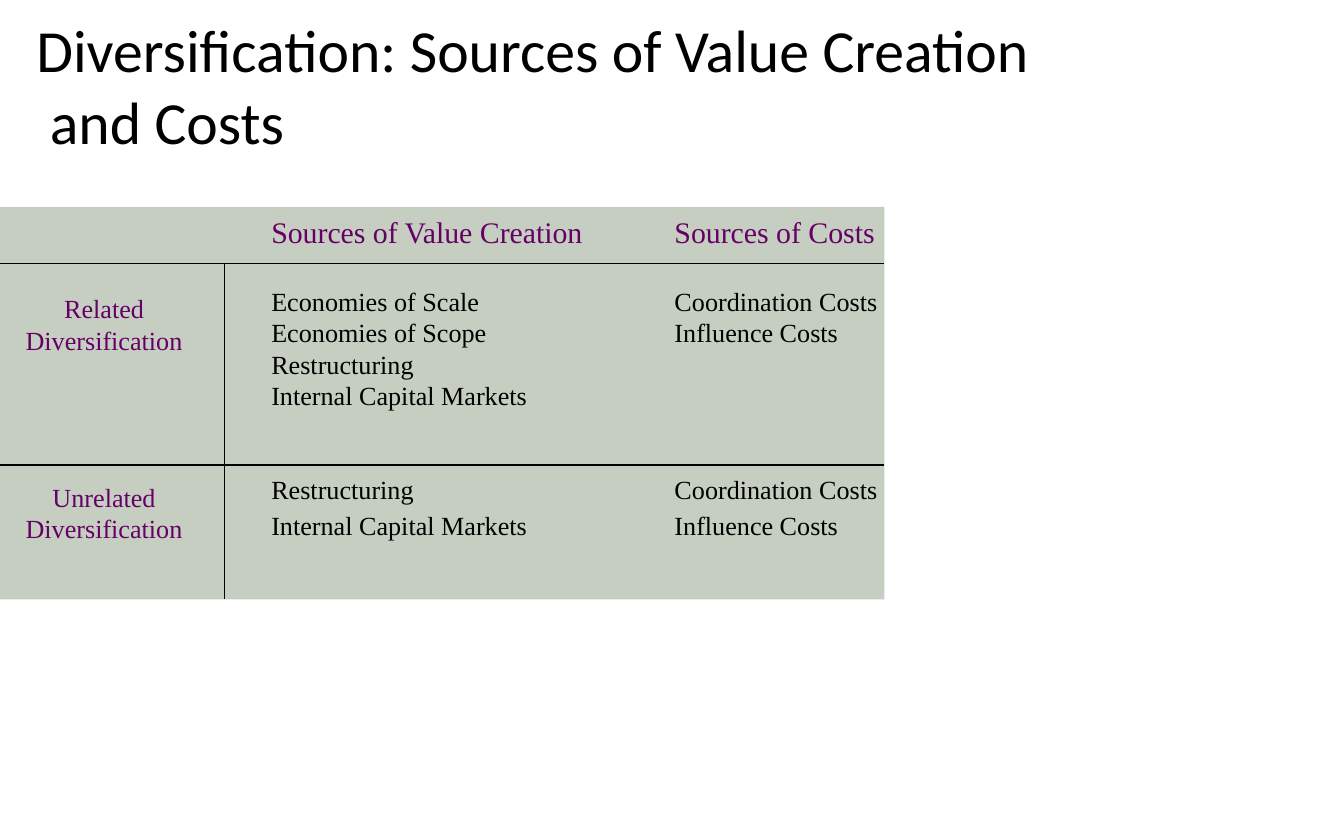
import pptx
import pptx.util
import pptx.dml.color
import pptx.enum.shapes
import pptx.enum.text
from pptx.oxml.ns import qn
from lxml import etree

inch, pt = pptx.util.Inches, pptx.util.Pt
align = pptx.enum.text.PP_ALIGN

# Content
title = "Diversification: Sources of Value Creation\v and Costs"
heads = ("Sources of Value Creation", "Sources of Costs")
groups = [
    (("Related", "Diversification"),
     [("Economies of Scale", "Coordination Costs"),
      ("Economies of Scope", "Influence Costs"),
      ("Restructuring",),
      ("Internal Capital Markets",)]),
    (("Unrelated", "Diversification"),
     [("Restructuring", "Coordination Costs"),
      ("Internal Capital Markets", "Influence Costs")]),
]

# Grid in inches, type in points
wide, high = 10, 6.25
right, split = 6.58, 1.67
top, rule, mid, low = 1.54, 1.96, 3.46, 4.46
tab = 3
big, small, lead = 16, 14, 1.2
plum, black, sage = "660066", "000000", "C5CEC1"

deck = pptx.Presentation()
deck.slide_width, deck.slide_height = inch(wide), inch(high)
slide = deck.slides.add_slide(deck.slide_layouts[5])


def paint(text):
    return pptx.dml.color.RGBColor.from_string(text)


def style(para, face, size, hue, side=align.LEFT):
    para.alignment = side
    para.font.name, para.font.size = face, pt(size)
    para.font.color.rgb = paint(hue)


def rows(box, lines, side=align.LEFT):
    """Each line holds its cells, size, colour, gap before and pitch."""
    frame = box.text_frame
    for i, (cells, size, hue, gap, pitch) in enumerate(lines):
        para = frame.paragraphs[0] if i == 0 else frame.add_paragraph()
        para.text = "\t".join(cells)
        if len(cells) > 1:
            stops = etree.SubElement(para._p.get_or_add_pPr(), qn("a:tabLst"))
            etree.SubElement(stops, qn("a:tab"), pos=str(inch(tab)), algn="l")
        para.line_spacing = pt(pitch)
        if gap:
            para.space_before = pt(gap)
        style(para, "Times New Roman", size, hue, side)


def add_box(x, y, w, h, wrap):
    box = slide.shapes.add_textbox(inch(x), inch(y), inch(w), inch(h))
    box.text_frame.word_wrap = wrap
    return box


# Panel
panel = slide.shapes.add_shape(
    pptx.enum.shapes.MSO_SHAPE.RECTANGLE,
    0, inch(top), inch(right), inch(low - top))
panel.shadow.inherit = False
panel.fill.solid()
panel.fill.fore_color.rgb = paint(sage)
panel.line.fill.background()

# Title
head = slide.shapes.title
head.left, head.top = inch(0.17), inch(0.08)
head.width, head.height = inch(9.08), inch(1.1)
frame = head.text_frame
frame.auto_size = pptx.enum.text.MSO_AUTO_SIZE.NONE
frame.vertical_anchor = pptx.enum.text.MSO_ANCHOR.MIDDLE
frame.paragraphs[0].text = title
style(frame.paragraphs[0], "Calibri", 32, black)

# Body and row labels; the gaps count whole lines
step = small * lead
body = [(heads, big, plum, 0, big * lead)]
names = []
for g, (label, items) in enumerate(groups):
    for i, cells in enumerate(items):
        gap = 0 if i else (2 * step if g else big * lead)
        last = g == len(groups) - 1 and i == len(items) - 1
        body.append((cells, small, black, gap, big * lead if last else step))
    for i, word in enumerate(label):
        names.append(((word,), small, plum, 4 * step if g and not i else 0, step))
rows(add_box(1.92, top, 7.75, 2.54, True), body)
rows(add_box(0.09, 2.13, 1.37, 1.97, False), names, align.CENTER)

# Rules
for x1, y1, x2, y2 in [(0, rule, right, rule),
                       (split, rule, split, low),
                       (0, mid, right, mid)]:
    line = slide.shapes.add_connector(
        pptx.enum.shapes.MSO_CONNECTOR.STRAIGHT,
        inch(x1), inch(y1), inch(x2), inch(y2))
    line.line.color.rgb = paint(black)
    line.line.width = pt(0.75)
    etree.SubElement(line._element.spPr, qn("a:effectLst"))

deck.save("out.pptx")
